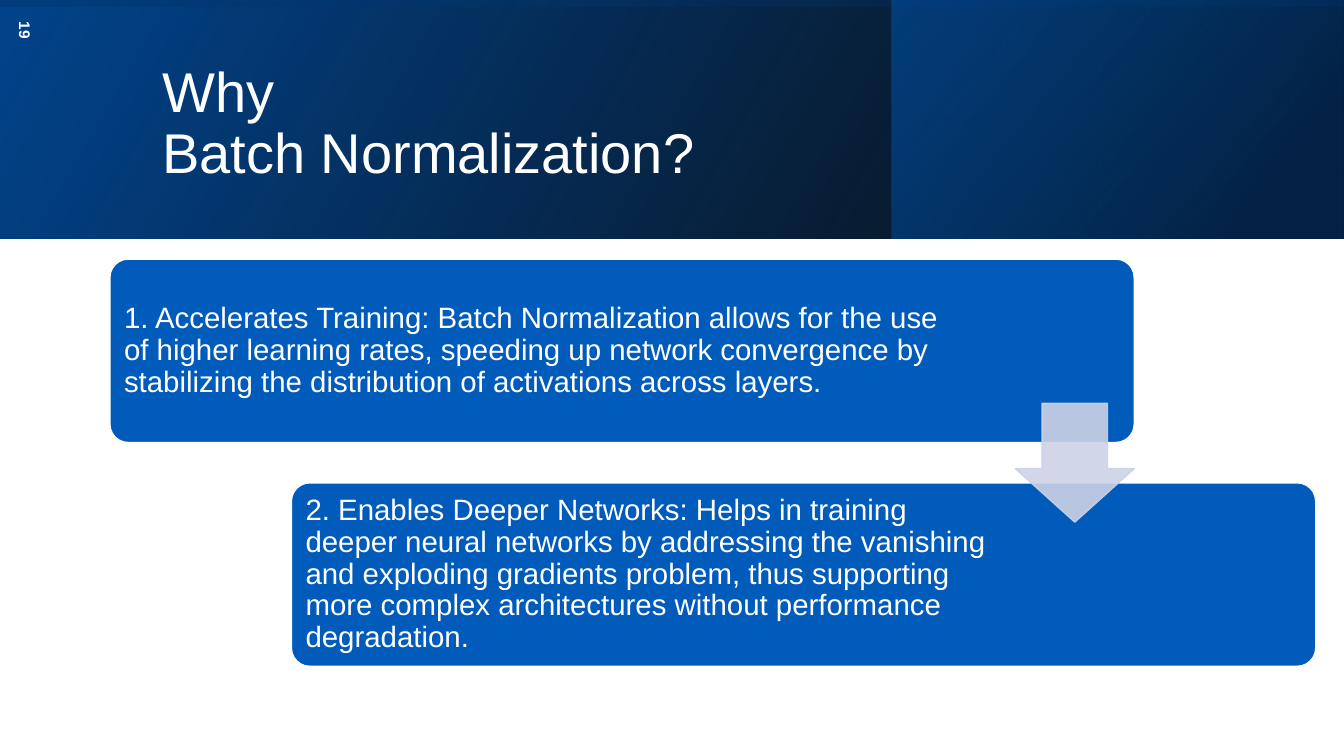
from dataclasses import dataclass

from lxml import etree
from pptx import Presentation
from pptx.dml.color import RGBColor
from pptx.enum.shapes import MSO_SHAPE
from pptx.enum.text import MSO_ANCHOR, MSO_AUTO_SIZE, PP_ALIGN
from pptx.oxml.ns import qn
from pptx.util import Inches, Pt

RECTANGLE = MSO_SHAPE.RECTANGLE
ROUNDED = MSO_SHAPE.ROUNDED_RECTANGLE
DOWN_ARROW = MSO_SHAPE.DOWN_ARROW
MIDDLE = MSO_ANCHOR.MIDDLE
NO_AUTOFIT = MSO_AUTO_SIZE.NONE
LEFT = PP_ALIGN.LEFT

FONT = "Arial"
WHITE = "FFFFFF"
BLUE = "005BBB"
NAVY = "00448C"
BLACK = "000000"
PALE = "CCD2E7"

SLIDE_WIDTH, SLIDE_HEIGHT = 13.33, 7.5
BANNER_HEIGHT = 2.37
CARD_LEFT, CARD_TOP = 1.09, 2.57
CARD_WIDTH, CARD_HEIGHT = 10.16, 1.82
STEP_RIGHT, STEP_DOWN = 1.8, 2.22
CARD_INSET = 0.05
ARROW_SIZE = 1.18


@dataclass
class Frame:
    left: float
    top: float
    width: float
    height: float

    def lengths(self):
        return [Inches(value) for value in (self.left, self.top, self.width, self.height)]


@dataclass
class Stop:
    position: int
    color: str
    opacity: int = 100


@dataclass
class Band:
    frame: Frame
    angle: int
    stops: tuple[Stop, Stop]
    rotation: int = 0


@dataclass
class Step:
    text: str
    text_width: float


BANDS = [
    Band(Frame(0, 0, SLIDE_WIDTH, BANNER_HEIGHT), 330,
         (Stop(0, BLACK, 96), Stop(100, NAVY))),
    Band(Frame(8.84, 0, 4.48, BANNER_HEIGHT), 320,
         (Stop(19, "002D5E", 68), Stop(100, BLUE, 48))),
    Band(Frame(5.48, -5.48, BANNER_HEIGHT, SLIDE_WIDTH), 350,
         (Stop(23, NAVY, 16), Stop(99, BLACK, 45)), 270),
]

STEPS = [
    Step("1. Accelerates Training: Batch Normalization allows for the use of higher "
         "learning rates, speeding up network convergence by stabilizing the "
         "distribution of activations across layers.", 8.28),
    Step("2. Enables Deeper Networks: Helps in training deeper neural networks by "
         "addressing the vanishing and exploding gradients problem, thus supporting "
         "more complex architectures without performance degradation.", 7.08),
]


def rgb(color: str) -> RGBColor:
    return RGBColor.from_string(color)


def set_opacity(color_element, percent: int) -> None:
    alpha = etree.SubElement(color_element, qn("a:alpha"))
    alpha.set("val", str(percent * 1000))


def add_band(page, band: Band) -> None:
    shape = page.shapes.add_shape(RECTANGLE, *band.frame.lengths())
    shape.shadow.inherit = False
    shape.rotation = band.rotation
    shape.line.fill.background()
    transform = shape.element.spPr.find(qn("a:xfrm"))
    transform.set("flipH", "1")
    gradient = etree.Element(qn("a:gradFill"), rotWithShape="1")
    stop_list = etree.SubElement(gradient, qn("a:gsLst"))
    for stop in band.stops:
        mark = etree.SubElement(stop_list, qn("a:gs"), pos=str(stop.position * 1000))
        color = etree.SubElement(mark, qn("a:srgbClr"), val=stop.color)
        if stop.opacity < 100:
            set_opacity(color, stop.opacity)
    etree.SubElement(gradient, qn("a:lin"), ang=str(band.angle * 60000), scaled="0")
    shape.element.spPr.find(qn("a:prstGeom")).addnext(gradient)


def add_solid(shapes, kind, frame: Frame, fill: str, line: str, adjustments: list[float]):
    shape = shapes.add_shape(kind, *frame.lengths())
    shape.shadow.inherit = False
    shape.fill.solid()
    shape.fill.fore_color.rgb = rgb(fill)
    shape.line.color.rgb = rgb(line)
    shape.line.width = Pt(1)
    for index, value in enumerate(adjustments):
        shape.adjustments[index] = value
    return shape


def write_text(box, text: str, size: float, spacing: float = 1.0, bold: bool = False) -> None:
    frame = box.text_frame
    frame.word_wrap = True
    frame.auto_size = NO_AUTOFIT
    frame.vertical_anchor = MIDDLE
    para = frame.paragraphs[0]
    para.text = text
    para.alignment = LEFT
    para.line_spacing = spacing
    for span in para.runs:
        span.font.name = FONT
        span.font.size = Pt(size)
        span.font.bold = bold
        span.font.color.rgb = rgb(WHITE)


def add_title(page) -> None:
    title = page.shapes.title
    title.left, title.top, title.width, title.height = Frame(1.51, 0.38, 10.63, 1.72).lengths()
    write_text(title, "Why \vBatch Normalization?", 40, 0.9)
    title.element.getparent().append(title.element)


def add_page_number(page) -> None:
    box = page.shapes.add_textbox(*Frame(-2, 2.17, 4.5, 0.4).lengths())
    box.rotation = 90
    write_text(box, "19", 11, bold=True)


def add_step(shapes, index: int, step: Step) -> None:
    left = CARD_LEFT + index * STEP_RIGHT
    top = CARD_TOP + index * STEP_DOWN
    add_solid(shapes, ROUNDED, Frame(left, top, CARD_WIDTH, CARD_HEIGHT), BLUE, WHITE, [0.1])
    box = shapes.add_textbox(*Frame(left + CARD_INSET, top + CARD_INSET, step.text_width,
                                    CARD_HEIGHT - 2 * CARD_INSET).lengths())
    write_text(box, step.text, 21, 0.9)
    frame = box.text_frame
    frame.margin_left = frame.margin_right = Inches(0.09)
    frame.margin_top = frame.margin_bottom = Inches(0.09)


def add_arrow(shapes) -> None:
    frame = Frame(CARD_LEFT + CARD_WIDTH - ARROW_SIZE, 4, ARROW_SIZE, ARROW_SIZE)
    arrow = add_solid(shapes, DOWN_ARROW, frame, PALE, PALE, [0.55, 0.45])
    for color in arrow.element.spPr.iter(qn("a:srgbClr")):
        set_opacity(color, 90)


def main() -> None:
    deck = Presentation()
    deck.slide_width = Inches(SLIDE_WIDTH)
    deck.slide_height = Inches(SLIDE_HEIGHT)
    page = deck.slides.add_slide(deck.slide_layouts.get_by_name("Title Only"))
    for band in BANDS:
        add_band(page, band)
    add_title(page)
    add_page_number(page)
    process = page.shapes.add_group_shape()
    for index, step in enumerate(STEPS):
        add_step(process.shapes, index, step)
    add_arrow(process.shapes)
    deck.save("out.pptx")


if __name__ == "__main__":
    main()
